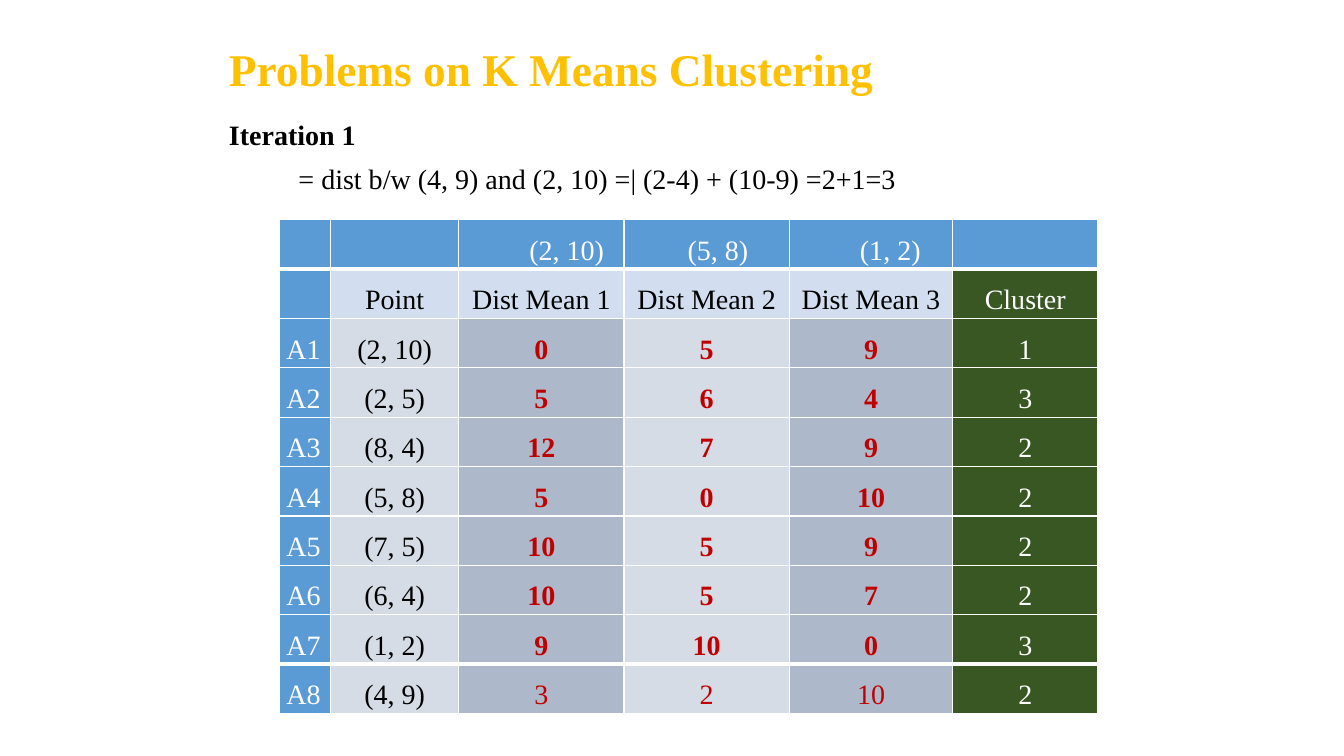
from dataclasses import dataclass

from lxml.etree import SubElement
from pptx import Presentation
from pptx.dml.color import RGBColor
from pptx.enum.text import MSO_ANCHOR, MSO_AUTO_SIZE, PP_ALIGN
from pptx.oxml import parse_xml
from pptx.oxml.ns import nsdecls, qn
from pptx.util import Inches, Pt

FONT = "Times New Roman"
WHITE = RGBColor(0xFF, 0xFF, 0xFF)
BLACK = RGBColor(0x00, 0x00, 0x00)
GOLD = RGBColor(0xFF, 0xC0, 0x00)
RED = RGBColor(0xC0, 0x00, 0x00)
BLUE = RGBColor(0x5B, 0x9B, 0xD5)
PALE_BLUE = RGBColor(0xD2, 0xDE, 0xEF)
PALE_GREY = RGBColor(0xD6, 0xDC, 0xE5)
GREY = RGBColor(0xAD, 0xB9, 0xCA)
GREEN = RGBColor(0x38, 0x57, 0x23)


@dataclass
class Look:
    fill: RGBColor
    color: RGBColor = WHITE
    bold: bool = False
    align: PP_ALIGN = PP_ALIGN.CENTER
    indent: float = 0


COLUMN_WIDTHS = [0.51, 1.27, 1.64, 1.64, 1.62, 1.44]
ROW_HEIGHT = 0.49
MEAN_INDENTS = [0, 0, 0.63, 0.56, 0.63, 0]
DISTANCES = [
    ["", "", "(2, 10)", "(5, 8)", "(1, 2)", ""],
    ["", "Point", "Dist Mean 1", "Dist Mean 2", "Dist Mean 3", "Cluster"],
    ["A1", "(2, 10)", "0", "5", "9", "1"],
    ["A2", "(2, 5)", "5", "6", "4", "3"],
    ["A3", "(8, 4)", "12", "7", "9", "2"],
    ["A4", "(5, 8)", "5", "0", "10", "2"],
    ["A5", "(7, 5)", "10", "5", "9", "2"],
    ["A6", "(6, 4)", "10", "5", "7", "2"],
    ["A7", "(1, 2)", "9", "10", "0", "3"],
    ["A8", "(4, 9)", "3", "2", "10", "2"],
]
LAST_ROW = len(DISTANCES) - 1


def add_run(paragraph, text: str, size: float, color: RGBColor, bold: bool = False) -> None:
    run = paragraph.add_run()
    run.text = text
    run.font.name = FONT
    run.font.size = Pt(size)
    run.font.bold = bold
    run.font.color.rgb = color


def set_indent(paragraph, inches: float) -> None:
    properties = paragraph._p.get_or_add_pPr()
    properties.set("marL", str(Inches(inches)))
    properties.set("indent", "0")


def place(placeholder, left: float, top: float, width: float, height: float):
    placeholder.left, placeholder.top = Inches(left), Inches(top)
    placeholder.width, placeholder.height = Inches(width), Inches(height)
    frame = placeholder.text_frame
    frame.word_wrap = True
    frame.auto_size = MSO_AUTO_SIZE.NONE
    frame.vertical_anchor = MSO_ANCHOR.TOP
    return frame


def add_statement(paragraph, text: str, bold: bool, indent: float) -> None:
    paragraph.alignment = PP_ALIGN.JUSTIFY
    paragraph.line_spacing = 0.9
    set_indent(paragraph, indent)
    SubElement(paragraph._p.get_or_add_pPr(), qn("a:buNone"))
    add_run(paragraph, text, 20, BLACK, bold)


def look_of(row: int, column: int) -> Look:
    if row == 0:
        return Look(BLUE, align=PP_ALIGN.JUSTIFY, indent=MEAN_INDENTS[column])
    if column == 0:
        return Look(BLUE, align=PP_ALIGN.JUSTIFY)
    if column == 5:
        return Look(GREEN)
    if row == 1:
        return Look(PALE_BLUE, BLACK)
    if column == 1:
        return Look(PALE_GREY, BLACK)
    return Look(GREY if column % 2 == 0 else PALE_GREY, RED, bold=row < LAST_ROW)


def add_borders(cell, row: int) -> None:
    widths = {
        "lnL": 1,
        "lnR": 1,
        "lnT": 3 if row == LAST_ROW else 1,
        "lnB": 3 if row == 0 else 1,
    }
    properties = cell._tc.get_or_add_tcPr()
    for position, (edge, width) in enumerate(widths.items()):
        properties.insert(position, parse_xml(
            f'<a:{edge} {nsdecls("a")} w="{Pt(width)}"><a:solidFill>'
            f'<a:srgbClr val="{WHITE}"/></a:solidFill></a:{edge}>'))


def fill_cell(cell, text: str, row: int, column: int) -> None:
    look = look_of(row, column)
    cell.margin_left = cell.margin_right = Inches(0.07)
    cell.margin_top = cell.margin_bottom = 0
    cell.fill.solid()
    cell.fill.fore_color.rgb = look.fill
    add_borders(cell, row)
    if text:
        paragraph = cell.text_frame.paragraphs[0]
        paragraph.alignment = look.align
        paragraph.line_spacing = 1.5
        set_indent(paragraph, look.indent)
        add_run(paragraph, text, 20, look.color, look.bold)


def add_distances(slide) -> None:
    frame = slide.shapes.add_table(
        len(DISTANCES), len(COLUMN_WIDTHS), Inches(2.77), Inches(2.18),
        Inches(sum(COLUMN_WIDTHS)), Inches(ROW_HEIGHT * len(DISTANCES)))
    distances = frame.table
    distances.first_row = distances.horz_banding = False
    for column, width in zip(distances.columns, COLUMN_WIDTHS):
        column.width = Inches(width)
    for row, texts in enumerate(DISTANCES):
        distances.rows[row].height = Inches(ROW_HEIGHT)
        for column, text in enumerate(texts):
            fill_cell(distances.cell(row, column), text, row, column)


def main() -> None:
    presentation = Presentation()
    presentation.slide_width = Inches(13.33)
    presentation.slide_height = Inches(7.5)
    slide = presentation.slides.add_slide(presentation.slide_layouts[1])

    heading = place(slide.shapes.title, 2.17, 0.37, 9, 1.25)
    heading.margin_top = Inches(0.1)
    heading.paragraphs[0].alignment = PP_ALIGN.LEFT
    heading.paragraphs[0].line_spacing = 0.9
    add_run(heading.paragraphs[0], "Problems on K Means Clustering", 32.4, GOLD, True)

    iteration = place(slide.placeholders[1], 2.17, 1.15, 9, 4.95)
    iteration.paragraphs[0].space_before = Pt(0)
    add_statement(iteration.paragraphs[0], "Iteration 1", True, 0)
    calculation = iteration.add_paragraph()
    calculation.space_before = Pt(10)
    add_statement(calculation, "= dist b/w (4, 9) and (2, 10) =| (2-4) + (10-9) =2+1=3", False, 0.69)

    add_distances(slide)
    presentation.save("out.pptx")


if __name__ == "__main__":
    main()
